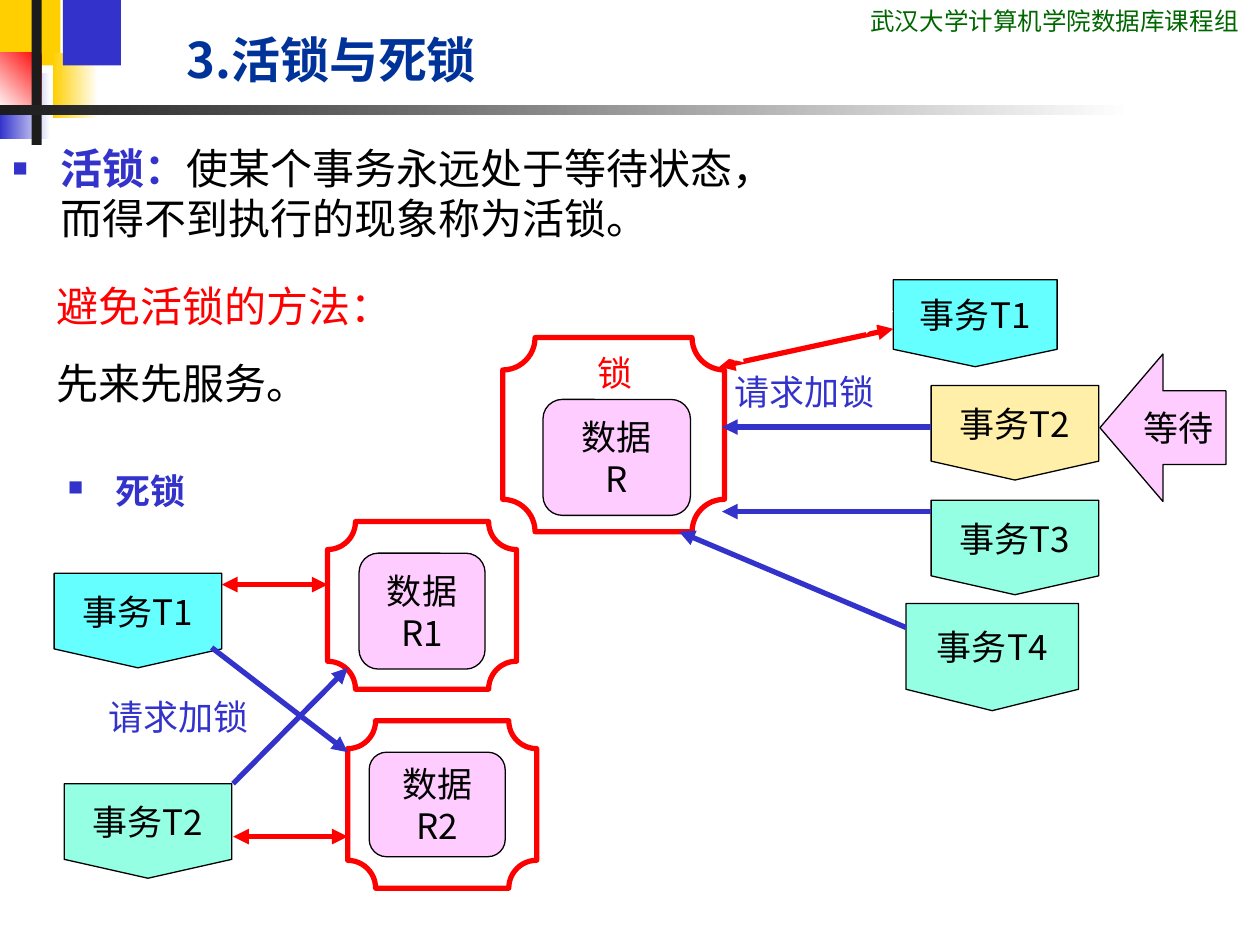
import pptx
import pptx.util
import pptx.dml.color
import pptx.enum.shapes
import pptx.enum.text
import pptx.oxml
import pptx.oxml.ns

Inches = pptx.util.Inches
Pt = pptx.util.Pt
SHAPE = pptx.enum.shapes.MSO_SHAPE
ANCHOR = pptx.enum.text.MSO_ANCHOR
ALIGN = pptx.enum.text.PP_ALIGN
qn = pptx.oxml.ns.qn

COLORS = {
    "white": "FFFFFF", "black": "000000", "charcoal": "1C1C1C", "yellow": "FFCF01",
    "blue": "3333CC", "red": "FF0000", "green": "006600", "navy": "003399",
    "cyan": "66FFFF", "cream": "FFEFA9", "mint": "95FFE3", "pink": "FFCCFF",
}
CJK, LATO, ROBOTO = "Noto Sans CJK SC", "Lato", "Roboto Condensed"

DECORATION = [
    ((0, 0, 0.48, 0.52), ("yellow",), None),
    ((0.42, 0.42, 0.36, 0.52), ("white", "yellow"), 180),
    ((0.5, 0, 0.46, 0.52), ("blue",), None),
    ((0, 0.58, 0.4, 0.52), ("white", "blue"), 180),
    ((0, 0.42, 0.33, 0.46), ("red", "white"), 225),
    ((0.25, 0, 0.08, 1.15), ("charcoal",), None),
    ((0, 0.83, 9, 0.08), ("white", "charcoal"), 180),
]
TITLE = [[("3.活锁与死锁", 28, CJK, "navy", True)]]
LIVELOCK = [[("活锁：", 24, LATO, "blue", True),
             ("使某个事务永远处于等待状态，而得不到执行的现象称为活锁。", 24, LATO, "black", False)]]
TEXT_BOXES = [
    ((6.81, 0, 3.19, 0.34), [[("武汉大学计算机学院数据库课程组", 14, ROBOTO, "green", False)]]),
    ((0.35, 2.18, 3.58, 1.11), [[("避免活锁的方法：", 24, LATO, "red", False)],
                                [("先来先服务。", 24, LATO, "black", False)]]),
    ((5.73, 2.89, 1.58, 0.44), [[("请求加锁", 20, CJK, "blue", False)]]),
    ((0.76, 5.47, 1.58, 0.44), [[("请求加锁", 20, CJK, "blue", False)]]),
    ((4.64, 2.74, 0.5, 0.44), [[("锁", 20, CJK, "red", False)]]),
]
DEADLOCK = ((0.44, 3.68, 1.99, 0.62), [[("死锁", 20, LATO, "blue", True)]])
LOCK_FRAMES = [(3.99, 2.68, 1.76, 1.54), (2.6, 4.14, 1.5, 1.33), (2.76, 5.72, 1.5, 1.33)]
DATA_ITEMS = [
    ("R", (4.31, 3.17, 1.17, 0.92)),
    ("R1", (2.85, 4.39, 1, 0.92)),
    ("R2", (2.93, 5.97, 1.08, 0.83)),
]
TRANSACTIONS = [
    ("事务T1", (7.09, 2.22, 1.3, 0.69), "cyan"),
    ("事务T2", (7.39, 3.06, 1.33, 0.75), "cream"),
    ("事务T3", (7.39, 3.97, 1.33, 0.75), "mint"),
    ("事务T4", (7.19, 4.79, 1.37, 0.85), "mint"),
    ("事务T1", (0.43, 4.55, 1.33, 0.75), "cyan"),
    ("事务T2", (0.51, 6.22, 1.33, 0.75), "mint"),
]
HELD_LOCKS = [
    ((7.09, 2.61), (5.71, 2.91)),
    ((1.76, 4.64), (2.6, 4.64)),
    ((1.85, 6.64), (2.76, 6.64)),
]
LOCK_REQUESTS = [
    ((7.39, 3.39), (5.73, 3.39)),
    ((7.39, 4.06), (5.73, 4.06)),
    ((7.19, 4.98), (5.39, 4.22)),
    ((1.68, 5.14), (2.76, 5.97)),
    ((1.85, 6.22), (2.76, 5.3)),
]
WHITE_ARROW = ((7.09, 2.47), (5.63, 2.81))


def rgb(name):
    return pptx.dml.color.RGBColor.from_string(COLORS[name])


def write(shape, paragraphs, anchor=ANCHOR.TOP, align=ALIGN.LEFT, wrap=True, bullet=False, gap=0):
    text_frame = shape.text_frame
    text_frame.auto_size = pptx.enum.text.MSO_AUTO_SIZE.NONE
    text_frame.word_wrap = wrap
    text_frame.vertical_anchor = anchor
    for index, runs in enumerate(paragraphs):
        paragraph = text_frame.paragraphs[0] if index == 0 else text_frame.add_paragraph()
        paragraph.alignment = align
        paragraph.space_before = Pt(gap if index else 0)
        if bullet:
            add_bullet(paragraph)
        for text, size, font, color, bold in runs:
            run = paragraph.add_run()
            run.text = text
            run.font.size = Pt(size)
            run.font.bold = bold
            run.font.color.rgb = rgb(color)
            run.font.name = font
            east_asian = pptx.oxml.parse_xml(
                f'<a:ea {pptx.oxml.ns.nsdecls("a")} typeface="{font}"/>')
            run.font._element.find(qn("a:latin")).addnext(east_asian)


def add_bullet(paragraph):
    properties = paragraph._p.get_or_add_pPr()
    properties.set("marL", str(Inches(0.38)))
    properties.set("indent", str(-Inches(0.38)))
    declaration = pptx.oxml.ns.nsdecls("a")
    for tag in (f'<a:buClr {declaration}><a:srgbClr val="{COLORS["blue"]}"/></a:buClr>',
                f'<a:buSzPct {declaration} val="60000"/>',
                f'<a:buChar {declaration} char="■"/>'):
        properties.append(pptx.oxml.parse_xml(tag))


def add_shape(slide, kind, box, fill=None, line=None, width=0.75):
    shape = slide.shapes.add_shape(kind, *map(Inches, box))
    shape.shadow.inherit = False
    if fill:
        shape.fill.solid()
        shape.fill.fore_color.rgb = rgb(fill)
    else:
        shape.fill.background()
    if line:
        shape.line.color.rgb = rgb(line)
        shape.line.width = Pt(width)
    else:
        shape.line.fill.background()
    return shape


def add_labelled(slide, kind, box, fill, lines):
    shape = add_shape(slide, kind, box, fill, "black")
    write(shape, [[(line, 20, CJK, "black", False)] for line in lines],
          ANCHOR.MIDDLE, ALIGN.CENTER, wrap=False)


def add_text(slide, box, paragraphs, **options):
    write(slide.shapes.add_textbox(*map(Inches, box)), paragraphs, **options)


def add_arrow(slide, start, end, color, width=3, ends=("tailEnd",)):
    connector = slide.shapes.add_connector(
        pptx.enum.shapes.MSO_CONNECTOR.STRAIGHT, *map(Inches, start + end))
    connector.line.color.rgb = rgb(color)
    connector.line.width = Pt(width)
    line = connector.line._get_or_add_ln()
    for tag in ends:
        line.append(pptx.oxml.parse_xml(
            f'<a:{tag} {pptx.oxml.ns.nsdecls("a")} type="triangle"/>'))
    connector._element.spPr.append(pptx.oxml.parse_xml(
        f'<a:effectLst {pptx.oxml.ns.nsdecls("a")}/>'))


def place(shape, box):
    shape.left, shape.top, shape.width, shape.height = map(Inches, box)


def main():
    presentation = pptx.Presentation()
    presentation.slide_width, presentation.slide_height = Inches(10), Inches(7.5)
    slide = presentation.slides.add_slide(presentation.slide_layouts[1])
    title, body = slide.placeholders
    place(title, (1.38, 0, 4.49, 0.75))
    write(title, TITLE, ANCHOR.BOTTOM)
    place(body, (0, 1.08, 6.18, 1.08))
    write(body, LIVELOCK, bullet=True)

    for box, colors, angle in DECORATION:
        shape = add_shape(slide, SHAPE.RECTANGLE, box, colors[0])
        if angle is not None:
            shape.fill.gradient()
            shape.fill.gradient_angle = angle
            for stop, color in zip(shape.fill.gradient_stops, colors):
                stop.color.rgb = rgb(color)

    for box in LOCK_FRAMES:
        add_shape(slide, SHAPE.PLAQUE, box, line="red", width=3)
    for name, box in DATA_ITEMS:
        add_labelled(slide, SHAPE.ROUNDED_RECTANGLE, box, "pink", ["数据", name])
    for name, box, fill in TRANSACTIONS:
        add_labelled(slide, SHAPE.FLOWCHART_OFFPAGE_CONNECTOR, box, fill, [name])
    add_labelled(slide, SHAPE.LEFT_ARROW, (8.73, 2.81, 1, 1.17), "pink", ["等待"])

    both_ends = ("headEnd", "tailEnd")
    for start, end in HELD_LOCKS:
        add_arrow(slide, start, end, "red", ends=both_ends)
    for start, end in LOCK_REQUESTS:
        add_arrow(slide, start, end, "blue")
    add_arrow(slide, *WHITE_ARROW, "white", 6, both_ends)

    for box, paragraphs in TEXT_BOXES:
        add_text(slide, box, paragraphs, gap=15)
    add_text(slide, *DEADLOCK, bullet=True)
    presentation.save("out.pptx")


if __name__ == "__main__":
    main()
